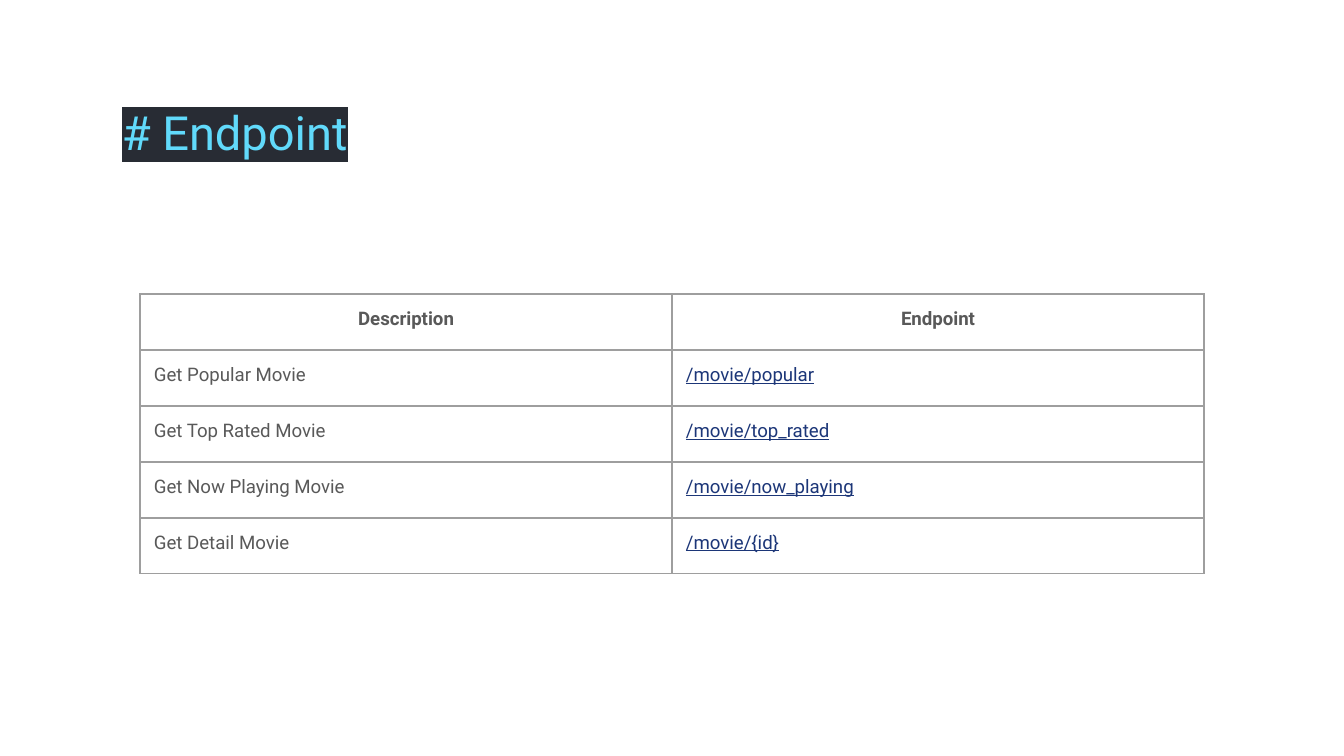
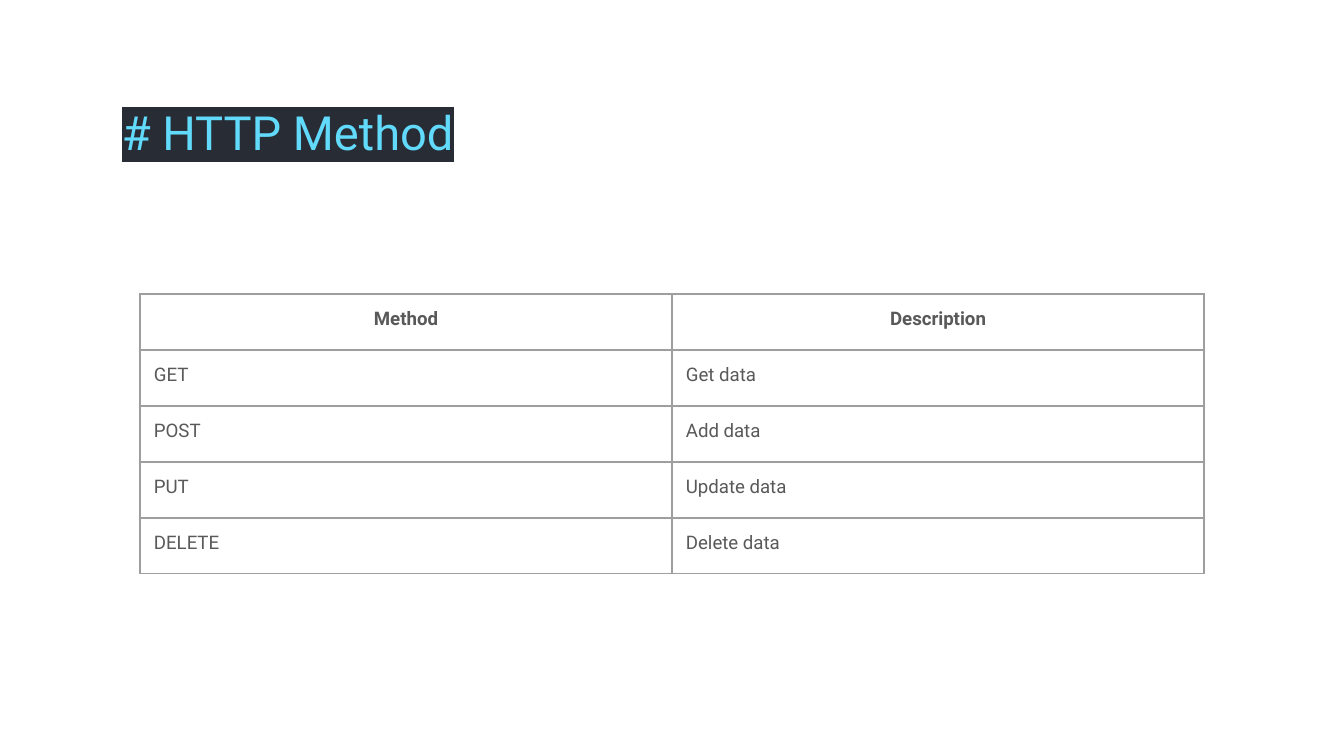
from dataclasses import dataclass

from lxml.etree import SubElement as Sub
from pptx import Presentation
from pptx.dml.color import RGBColor as Rgb
from pptx.enum.text import MSO_ANCHOR as Anchor, PP_ALIGN as Align
from pptx.oxml import parse_xml
from pptx.oxml.ns import nsdecls, qn
from pptx.util import Pt

PX = 9525
WIDE, HIGH = 960, 540
PAD = 10
COL, ROW = 380, 40
FONT = "Roboto"
HUES = {
    "title": "61DAFB",
    "mark": "282C34",
    "text": "595959",
    "link": "1C3678",
    "rule": "9E9E9E",
}


@dataclass(frozen=True)
class Page:
    title: str
    rows: list[tuple[str, str]]


PAGES = [
    Page("# Endpoint", [
        ("Description", "Endpoint"),
        ("Get Popular Movie", "/movie/popular"),
        ("Get Top Rated Movie", "/movie/top_rated"),
        ("Get Now Playing Movie", "/movie/now_playing"),
        ("Get Detail Movie", "/movie/{id}"),
    ]),
    Page("# HTTP Method", [
        ("Method", "Description"),
        ("GET", "Get data"),
        ("POST", "Add data"),
        ("PUT", "Update data"),
        ("DELETE", "Delete data"),
    ]),
]


def px(num: int) -> int:
    return num * PX


def style(run, size: float, hue: str, bold: bool = False) -> None:
    font = run.font
    font.name = FONT
    font.size = Pt(size)
    font.bold = bold
    font.color.rgb = Rgb.from_string(HUES[hue])


def mark(run, hue: str) -> None:
    """Put a highlight behind the run; its colour must be set already."""
    fill = run.font._element.find(qn("a:solidFill"))
    fill.addnext(parse_xml(
        f'<a:highlight {nsdecls("a")}><a:srgbClr val="{HUES[hue]}"/></a:highlight>'))


def add_title(slide, text: str) -> None:
    box = slide.shapes.add_textbox(px(77), px(62), px(807), px(57))
    frame = box.text_frame
    frame.word_wrap = True
    frame.vertical_anchor = Anchor.TOP
    frame.margin_left = frame.margin_right = px(PAD)
    frame.margin_top, frame.margin_bottom = px(12), 0
    frame.text = text
    run = frame.paragraphs[0].runs[0]
    style(run, 25.2, "title")
    mark(run, "mark")


def rule(cell) -> None:
    """Draw a thin line on all four sides of the cell."""
    props = cell._tc.get_or_add_tcPr()
    for spot, side in enumerate(("lnL", "lnR", "lnT", "lnB")):
        line = Sub(props, qn(f"a:{side}"), w=str(Pt(0.75)))
        fill = Sub(line, qn("a:solidFill"))
        Sub(fill, qn("a:srgbClr"), val=HUES["rule"])
        props.insert(spot, line)


def fill_cell(cell, text: str, head: bool) -> None:
    cell.fill.background()
    rule(cell)
    cell.vertical_anchor = Anchor.TOP
    cell.margin_left = cell.margin_right = px(PAD)
    cell.margin_top = cell.margin_bottom = px(PAD)
    cell.text_frame.text = text
    para = cell.text_frame.paragraphs[0]
    para.alignment = Align.CENTER if head else Align.LEFT
    link = text.startswith("/")
    run = para.runs[0]
    style(run, 10, "link" if link else "text", head)
    run.font.underline = link


def add_grid(slide, rows: list[tuple[str, str]]) -> None:
    count, cols = len(rows), len(rows[0])
    grid = slide.shapes.add_table(
        count, cols, px(100), px(210), px(COL * cols), px(ROW * count)).table
    grid.first_row = grid.horz_banding = False
    for r, row in enumerate(rows):
        for c, text in enumerate(row):
            fill_cell(grid.cell(r, c), text, r == 0)


def main() -> None:
    deck = Presentation()
    deck.slide_width, deck.slide_height = px(WIDE), px(HIGH)
    blank = deck.slide_layouts[6]
    for page in PAGES:
        slide = deck.slides.add_slide(blank)
        add_title(slide, page.title)
        add_grid(slide, page.rows)
    deck.save("out.pptx")


if __name__ == "__main__":
    main()
